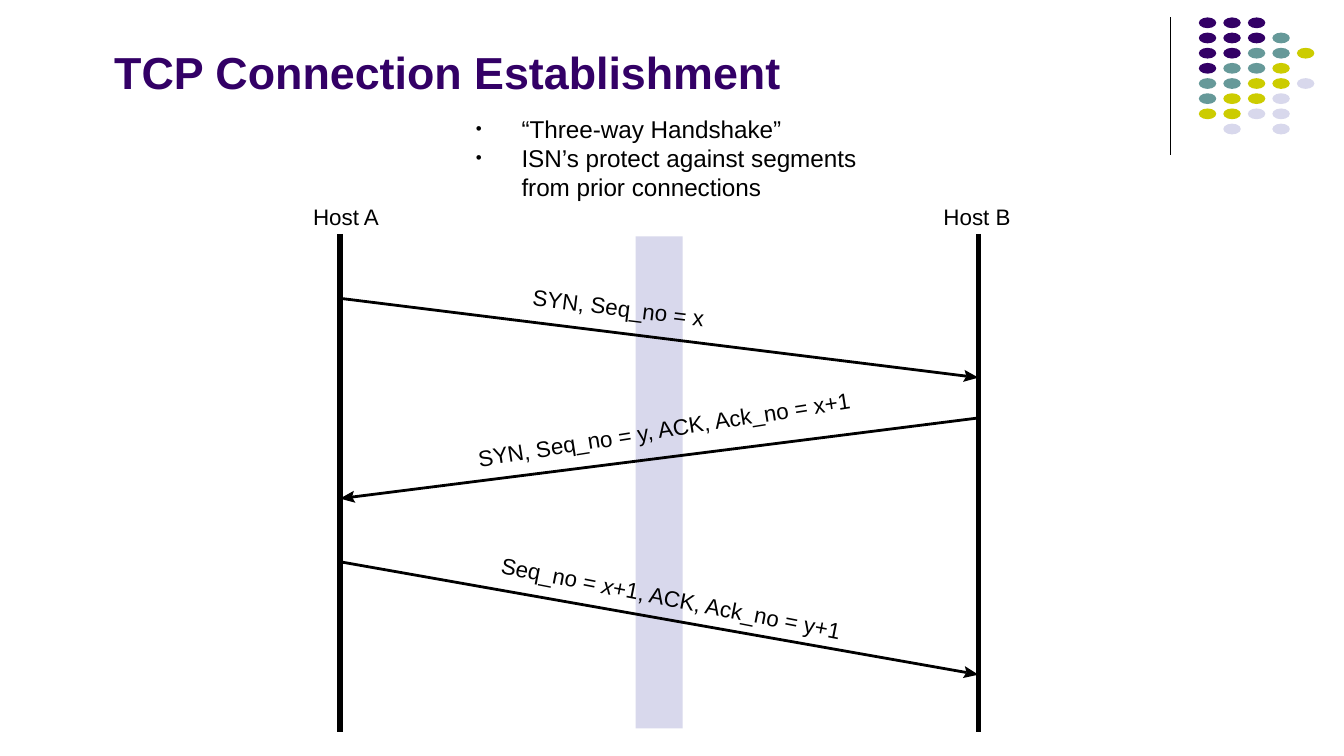
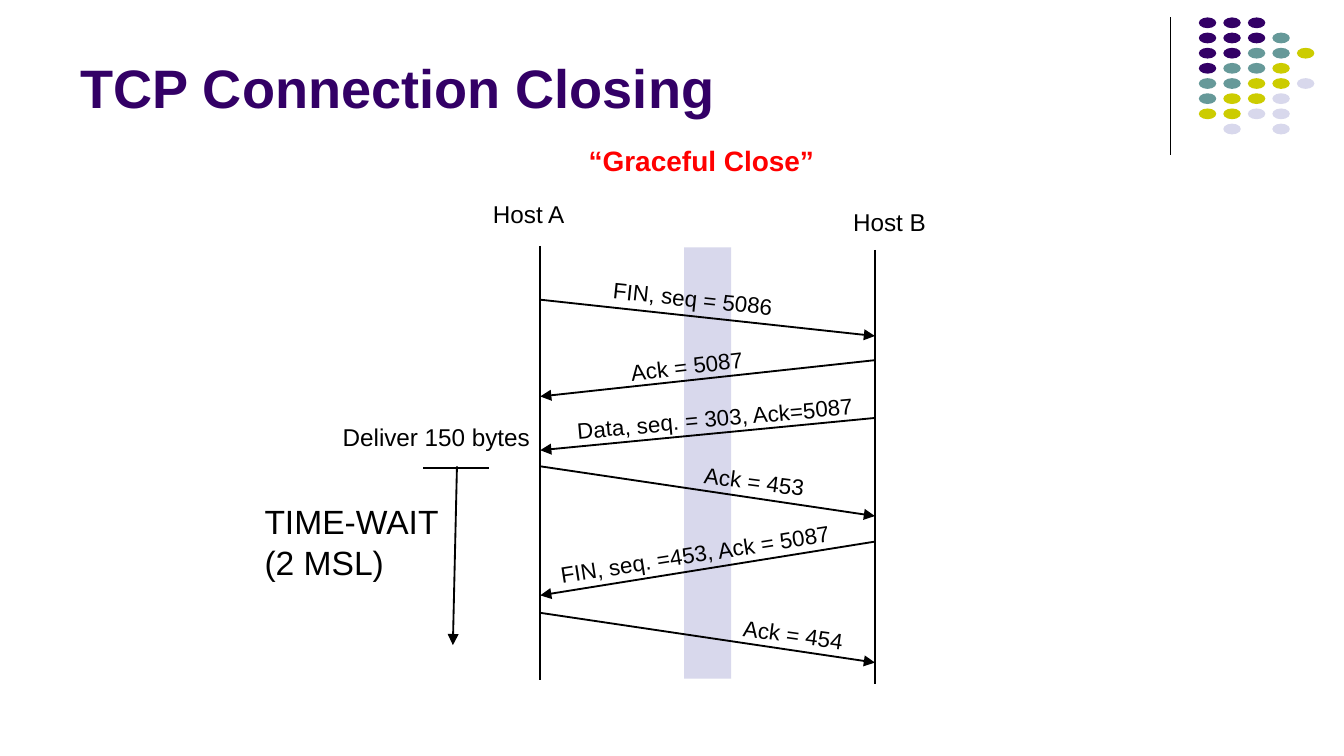
from math import hypot
from lxml import etree
from pptx import Presentation
from pptx.dml.color import RGBColor as Rgb
from pptx.enum.shapes import MSO_CONNECTOR as Link, MSO_SHAPE as Shape
from pptx.enum.text import MSO_ANCHOR as Anchor, MSO_AUTO_SIZE as Fit, PP_ALIGN as Align
from pptx.oxml.ns import qn
from pptx.util import Inches, Pt

# Theme: colours, type sizes, line widths
THEME = {
    "font": "Arial",
    "ink": "000000", "title": "330066", "alert": "FF0000", "band": "D8D8EC",
    "dots": {"P": "330066", "T": "669999", "Y": "CCCC00", "L": "D8D8EC"},
    "label": 12, "note": 13, "call": 15, "timer": 18,
    "rule": 0.75, "thin": 1,
}
SIZE = (10, 10 * 9 / 16)
SNUG, TIGHT, LOOSE = (0, 0), (0.07, 0.04), (0.1, 0.05)   # text insets
BARB = {"long": 0.11, "notch": 0.09, "half": 0.045}      # drawn arrowhead

# Dot ornament: one letter per column, one string per row
DOTS = ["PPP", "PPPT", "PPTTY", "PTTY", "TTYYL", "TYYL", "YYLL", " L L"]
DOT = {"left": 8.92, "top": 0.13, "col": 0.18, "row": 0.11, "w": 0.13, "h": 0.08}
DOT["col"], DOT["row"] = (9.65 - DOT["left"]) / 4, (0.92 - DOT["top"]) / 7

# Hosts: name, line x, line top, line bottom, label place
# Messages: sender, y sent, y received, text, label place, turn in degrees
OPEN = {
    "title": ("TCP Connection Establishment", (0.78, 0.13, 7.38, 0.8), 24, Anchor.MIDDLE, TIGHT),
    "band": (4.73, 1.76, 0.35, 3.66),
    "hosts": [("Host A", 2.53, 1.74, 5.45, (2.33, 1.51, 0.5, 0.2)),
              ("Host B", 7.28, 1.74, 5.45, (7.02, 1.51, 0.5, 0.2))],
    "name": 12, "post": 2.86, "line": 1.5, "barb": True,
    "pad": SNUG, "inset": SNUG,
    "calls": [
        ("A", 2.22, 2.81, ["SYN, Seq_no = x"], (3.96, 2.19, 1.33, 0.2), 7),
        ("B", 3.11, 3.71, ["SYN, Seq_no = y, ACK, Ack_no = x+1"], (3.54, 3.09, 2.83, 0.2), -9),
        ("A", 4.18, 5.02, ["Seq_no = ", "*x", "+1, ACK, Ack_no = y+1"], (3.71, 4.35, 2.59, 0.2), 11),
    ],
}
POINTS = ["“Three-way Handshake”", "ISN’s protect against segments from prior connections"]
CLOSE = {
    "title": ("TCP Connection Closing", (0.5, 0.1, 8.25, 0.84), 29, Anchor.BOTTOM, LOOSE),
    "band": (5.09, 1.84, 0.35, 3.21),
    "hosts": [("Host A", 4.02, 1.83, 5.06, (3.57, 1.43, 0.74, 0.32)),
              ("Host B", 6.51, 1.86, 5.09, (6.25, 1.49, 0.74, 0.32))],
    "name": 13, "post": 1, "line": 1, "barb": False,
    "pad": LOOSE, "inset": TIGHT,
    "calls": [
        ("A", 2.23, 2.5, ["FIN, seq = 5086"], (4.49, 2.08, 1.34, 0.27), 6),
        ("B", 2.68, 2.95, ["Ack = 5087"], (4.62, 2.58, 0.99, 0.27), -6.8),
        ("B", 3.11, 3.35, ["Data, seq. = 303, Ack=5087"], (4.22, 2.97, 2.22, 0.27), -5.2),
        ("A", 3.47, 3.84, ["Ack = 453"], (5.17, 3.44, 0.9, 0.27), 7.3),
        ("B", 4.03, 4.43, ["FIN, seq. =453, Ack = 5087"], (4.09, 3.98, 2.18, 0.27), -8.9),
        ("A", 4.56, 4.93, ["Ack = 454"], (5.46, 4.58, 0.9, 0.27), 7.8),
    ],
}


def inch(vals):
    return [Inches(v) for v in vals]


def place(item, area):
    item.left, item.top, item.width, item.height = inch(area)


def frame(item, pad, wrap=True, anchor=Anchor.TOP):
    box = item.text_frame
    box.margin_left = box.margin_right = Inches(pad[0])
    box.margin_top = box.margin_bottom = Inches(pad[1])
    box.word_wrap, box.vertical_anchor = wrap, anchor
    return box


def style(para, size, color=THEME["ink"], bold=False):
    font = para.font
    font.name, font.size, font.bold = THEME["font"], Pt(size), bold
    font.color.rgb = Rgb.from_string(color)


def text(slide, lines, area, size, pad=TIGHT, wrap=False, turn=0, **look):
    """Each line is a list of runs; a leading * marks italics."""
    item = slide.shapes.add_textbox(*inch(area))
    item.rotation = turn
    box = frame(item, pad, wrap)
    box.auto_size = Fit.SHAPE_TO_FIT_TEXT
    for i, runs in enumerate(lines):
        para = box.add_paragraph() if i else box.paragraphs[0]
        style(para, size, **look)
        for part in runs:
            run = para.add_run()
            run.text = part.lstrip("*")
            if part.startswith("*"):
                run.font.italic = True


def line(slide, start, end, width, head=False):
    link = slide.shapes.add_connector(Link.STRAIGHT, *inch(start + end))
    link.line.color.rgb = Rgb.from_string(THEME["ink"])
    link.line.width = Pt(width)
    if head:
        etree.SubElement(link.line._get_or_add_ln(), qn("a:tailEnd"), type="triangle")
    etree.SubElement(link._element.spPr, qn("a:effectLst"))


def paint(item, color):
    item.shadow.inherit = False
    item.fill.solid()
    item.fill.fore_color.rgb = Rgb.from_string(color)
    item.line.fill.background()


def solid(slide, kind, area, color):
    paint(slide.shapes.add_shape(kind, *inch(area)), color)


def barbed(slide, start, end, width):
    """Draw a line that ends in a notched head."""
    span = hypot(end[0] - start[0], end[1] - start[1])
    dx, dy = (end[0] - start[0]) / span, (end[1] - start[1]) / span

    def spot(back, side):
        return end[0] - back * dx - side * dy, end[1] - back * dy + side * dx

    notch = spot(BARB["notch"], 0)
    line(slide, start, notch, width)
    rim = [spot(BARB["long"], BARB["half"]), notch, spot(BARB["long"], -BARB["half"])]
    pen = slide.shapes.build_freeform(*inch(end))
    pen.add_line_segments([inch(p) for p in rim], close=True)
    paint(pen.convert_to_shape(), THEME["ink"])


def start(deck, layout, data):
    """Add a slide with the shared ornament and title."""
    slide = deck.slides.add_slide(deck.slide_layouts[layout])
    line(slide, (8.71, 0.13), (8.71, 1.15), THEME["rule"])
    for r, row in enumerate(DOTS):
        for c, key in enumerate(row):
            if key in THEME["dots"]:
                spot = (DOT["left"] + c * DOT["col"], DOT["top"] + r * DOT["row"], DOT["w"], DOT["h"])
                solid(slide, Shape.OVAL, spot, THEME["dots"][key])
    words, area, size, anchor, pad = data["title"]
    title = slide.shapes.title
    place(title, area)
    box = frame(title, pad, anchor=anchor)
    box.text = words
    para = box.paragraphs[0]
    para.alignment = Align.LEFT
    style(para, size, THEME["title"], True)
    return slide


def chart(slide, data):
    """Draw the time band, host lines and messages."""
    solid(slide, Shape.RECTANGLE, data["band"], THEME["band"])
    for name, x, top, end, area in data["hosts"]:
        line(slide, (x, top), (x, end), data["post"])
        text(slide, [[name]], area, data["name"], data["pad"])
    left, right = (host[1] for host in data["hosts"])
    for side, sent, got, runs, area, turn in data["calls"]:
        x1, x2 = (left, right) if side == "A" else (right, left)
        if data["barb"]:
            barbed(slide, (x1, sent), (x2, got), data["line"])
        else:
            line(slide, (x1, sent), (x2, got), data["line"], True)
        text(slide, [runs], area, THEME["label"], data["inset"], turn=turn)


def bullets(slide, points, area, hang=0.34):
    body = slide.placeholders[1]
    place(body, area)
    box = frame(body, TIGHT)
    box.auto_size = Fit.NONE
    for i, words in enumerate(points):
        para = box.add_paragraph() if i else box.paragraphs[0]
        para.text = words
        para.space_before = Pt(0)
        props = para._p.get_or_add_pPr()
        props.set("marL", str(Inches(hang)))
        props.set("indent", str(-Inches(hang)))
        tint = etree.SubElement(props, qn("a:buClr"))
        etree.SubElement(tint, qn("a:srgbClr"), val=THEME["ink"])
        etree.SubElement(props, qn("a:buSzPct"), val="70000")
        etree.SubElement(props, qn("a:buChar"), char="•")
        style(para, THEME["note"])


def main():
    deck = Presentation()
    deck.slide_width, deck.slide_height = inch(SIZE)

    # Slide 1: three-way handshake
    slide = start(deck, 1, OPEN)
    bullets(slide, POINTS, (3.47, 0.81, 3.07, 0.72))
    chart(slide, OPEN)

    # Slide 2: closing, with the waiting time at the left
    slide = start(deck, 5, CLOSE)
    text(slide, [["“Graceful Close”"]], (4.31, 1.03, 1.83, 0.32), THEME["call"],
         color=THEME["alert"], bold=True)
    chart(slide, CLOSE)
    text(slide, [["Deliver 150 bytes"]], (2.48, 3.1, 1.54, 0.29), THEME["note"], wrap=True)
    line(slide, (3.15, 3.48), (3.64, 3.48), THEME["thin"])
    line(slide, (3.4, 3.47), (3.37, 4.8), THEME["thin"], True)
    text(slide, [["TIME-WAIT"], ["(2 MSL)"]], (1.87, 3.68, 1.5, 0.7), THEME["timer"], LOOSE, True)

    deck.save("out.pptx")


if __name__ == "__main__":
    main()
